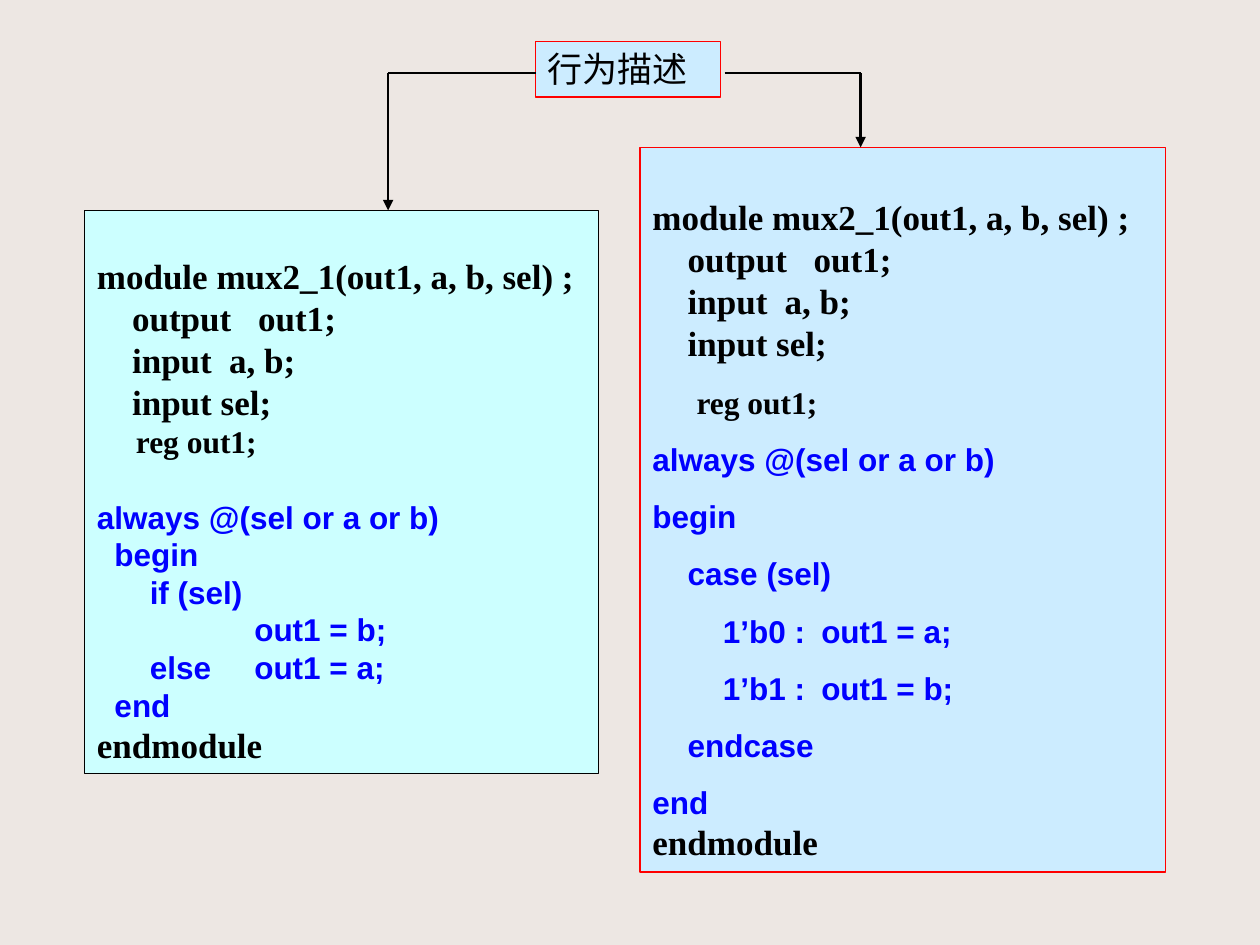
from lxml import etree
from pptx import Presentation
from pptx.dml.color import RGBColor
from pptx.enum.shapes import MSO_CONNECTOR, MSO_SHAPE
from pptx.enum.text import MSO_ANCHOR, PP_ALIGN
from pptx.oxml.ns import qn
from pptx.util import Inches, Pt

RECTANGLE = MSO_SHAPE.RECTANGLE
STRAIGHT = MSO_CONNECTOR.STRAIGHT
TOP = MSO_ANCHOR.TOP
LEFT = PP_ALIGN.LEFT

BLACK, BLUE, RED = "000000", "0000FF", "FF0000"
SKY, AQUA, PAPER = "CCECFF", "CCFFFF", "EDE7E3"

DECLARATION = dict(size=20, leading=24, bold=True)
REGISTER = dict(size=18, leading=21.5, bold=True)
BEHAVIOUR = dict(REGISTER, font="Arial", color=BLUE)
SPACED = dict(BEHAVIOUR, before=11.2)

PORTS = [
    ("module mux2_1(out1, a, b, sel) ;", [], DECLARATION),
    ("\toutput\tout1;", [0.28, 1.28], DECLARATION),
    ("\tinput\ta, b;", [0.28, 1.05], DECLARATION),
    ("\tinput sel;", [0.28], DECLARATION),
]
CLOSING = [("endmodule", [], DECLARATION)]

IF_VERSION = PORTS + [
    ("\treg out1;", [0.31], REGISTER),
    ("always @(sel or a or b)", [], dict(BEHAVIOUR, before=21.5)),
    ("\tbegin", [0.14], BEHAVIOUR),
    ("\tif (sel)", [0.42], BEHAVIOUR),
    ("\tout1 = b;", [1.25], BEHAVIOUR),
    ("\telse\tout1 = a;", [0.42, 1.25], BEHAVIOUR),
    ("\tend", [0.14], BEHAVIOUR),
] + CLOSING

CASE_VERSION = PORTS + [
    ("\treg out1;", [0.35], dict(REGISTER, before=11.2)),
    ("always @(sel or a or b)", [], SPACED),
    ("begin", [], SPACED),
    ("\tcase (sel)", [0.28], SPACED),
    ("\t1’b0 :\tout1 = a;", [0.56, 1.34], SPACED),
    ("\t1’b1 :\tout1 = b;", [0.56, 1.34], SPACED),
    ("\tendcase", [0.28], SPACED),
    ("end", [], SPACED),
] + CLOSING


def rgb(value):
    """Return the colour for a hex string."""
    return RGBColor.from_string(value)


def write_text(paragraph, text, stops=(), size=20, font="Times New Roman",
               color=BLACK, bold=False, before=0, leading=None):
    """Write one formatted line with its tab stops in inches."""
    paragraph.alignment = LEFT
    paragraph.space_before = Pt(before)
    if leading:
        paragraph.line_spacing = Pt(leading)
    if stops:
        tabs = etree.SubElement(paragraph._p.get_or_add_pPr(), qn("a:tabLst"))
        for stop in stops:
            etree.SubElement(tabs, qn("a:tab"), pos=str(Inches(stop)), algn="l")
    run = paragraph.add_run()
    run.text = text
    run.font.size = Pt(size)
    run.font.name = font
    run.font.bold = bold
    run.font.color.rgb = rgb(color)


def add_panel(slide, box, fill, outline, lines, top_inset=0.05):
    """Draw an outlined panel holding the given lines."""
    panel = slide.shapes.add_shape(RECTANGLE, *map(Inches, box))
    panel.shadow.inherit = False
    panel.fill.solid()
    panel.fill.fore_color.rgb = rgb(fill)
    panel.line.color.rgb = rgb(outline)
    panel.line.width = Pt(0.75)
    frame = panel.text_frame
    frame.word_wrap = True
    frame.vertical_anchor = TOP
    frame.margin_left = frame.margin_right = Inches(0.1)
    frame.margin_top = Inches(top_inset)
    frame.margin_bottom = Inches(0.05)
    for index, (text, stops, style) in enumerate(lines):
        paragraph = frame.add_paragraph() if index else frame.paragraphs[0]
        write_text(paragraph, text, stops, **style)


def add_line(slide, start, end, width=1, arrow=False):
    """Draw a straight black line, with an arrowhead at its end if asked."""
    line = slide.shapes.add_connector(STRAIGHT, *map(Inches, start + end))
    line.line.color.rgb = rgb(BLACK)
    line.line.width = Pt(width)
    if arrow:
        etree.SubElement(line.line._get_or_add_ln(), qn("a:tailEnd"), type="triangle")
    etree.SubElement(line._element.spPr, qn("a:effectLst"))


def add_branch(slide, start, drop, width):
    """Draw an elbow that runs sideways from start, then down to drop."""
    corner = (drop[0], start[1])
    add_line(slide, start, corner)
    add_line(slide, corner, drop, width, arrow=True)


def main():
    """Build and save the slide."""
    deck = Presentation()
    deck.slide_width, deck.slide_height = Inches(10), Inches(7.5)
    slide = deck.slides.add_slide(deck.slide_layouts[6])
    slide.background.fill.solid()
    slide.background.fill.fore_color.rgb = rgb(PAPER)
    add_panel(slide, (0.67, 1.67, 4.08, 4.47), AQUA, BLACK, IF_VERSION, 0.35)
    add_panel(slide, (5.08, 1.17, 4.17, 5.75), SKY, RED, CASE_VERSION, 0.38)
    add_panel(slide, (4.25, 0.33, 1.47, 0.44), SKY, RED, [("行为描述", [], {})])
    add_branch(slide, (4.25, 0.58), (3.08, 1.67), 1)
    add_branch(slide, (5.75, 0.58), (6.83, 1.17), 1.5)
    deck.save("out.pptx")


if __name__ == "__main__":
    main()
